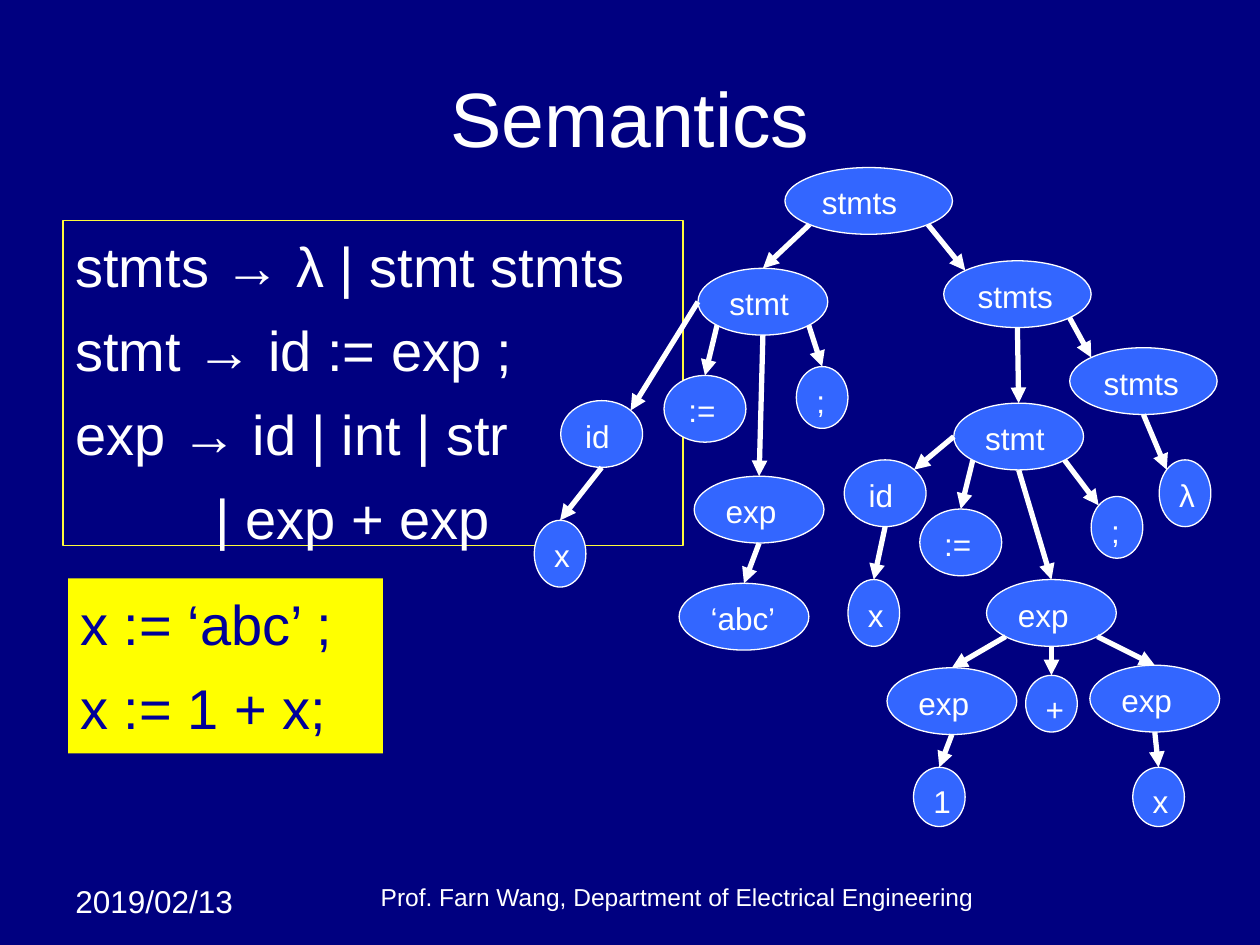
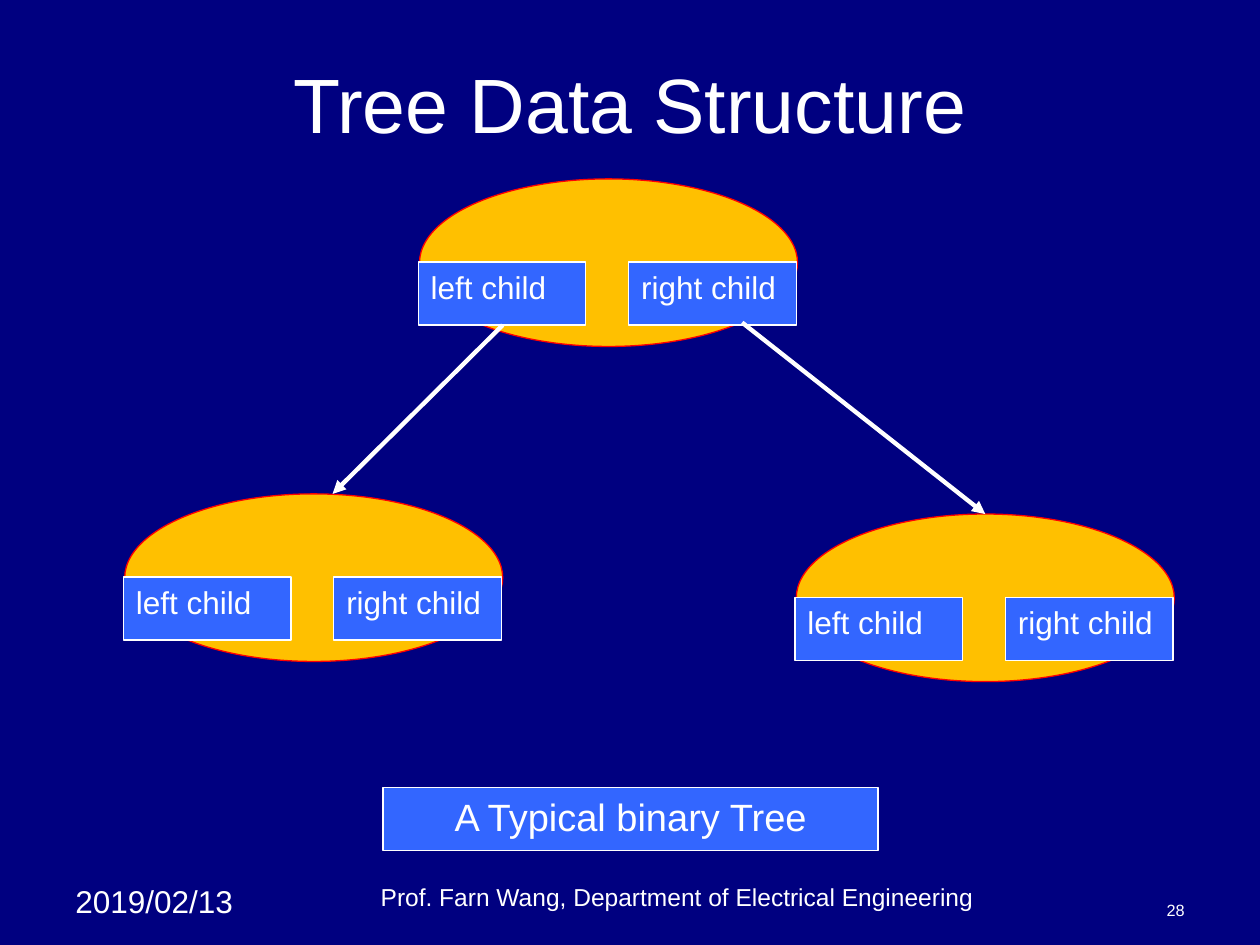
from math import sqrt

from lxml import etree
from pptx import Presentation
from pptx.dml.color import RGBColor
from pptx.enum.shapes import MSO_CONNECTOR, MSO_SHAPE
from pptx.enum.text import MSO_ANCHOR, PP_ALIGN
from pptx.oxml.ns import qn
from pptx.util import Inches, Pt

NAVY = RGBColor(0x00, 0x00, 0x80)
WHITE = RGBColor(0xFF, 0xFF, 0xFF)
BLUE = RGBColor(0x33, 0x66, 0xFF)
YELLOW = RGBColor(0xFF, 0xFF, 0x00)
PALE_YELLOW = RGBColor(0xFF, 0xFB, 0x3B)
INK = RGBColor(0x00, 0x00, 0x99)
AMBER = RGBColor(0xFF, 0xC0, 0x00)
RED = RGBColor(0xFF, 0x00, 0x00)

LEFT, CENTER, RIGHT = PP_ALIGN.LEFT, PP_ALIGN.CENTER, PP_ALIGN.RIGHT
TOP, MIDDLE, BOTTOM = MSO_ANCHOR.TOP, MSO_ANCHOR.MIDDLE, MSO_ANCHOR.BOTTOM
RECT, OVAL = MSO_SHAPE.RECTANGLE, MSO_SHAPE.OVAL
STRAIGHT = MSO_CONNECTOR.STRAIGHT
FONT = "Arial"

DATE = "2019/02/13"
FOOTER = "Prof. Farn Wang, Department of Electrical Engineering"

GRAMMAR = [
    ("stmts → λ | stmt stmts", 0),
    ("stmt → id := exp ;", 0),
    ("exp → id | int | str", 0),
    ("| exp + exp", 1.11),
]
PROGRAM = [("x := ‘abc’ ;", 0), ("x := 1 + x;", 0)]

PARSE_NODES = {
    "root": ("stmts", 6.23, 1.33),
    "rest": ("stmts", 7.49, 2.07),
    "end": ("stmts", 8.49, 2.76),
    "empty": ("λ", 9.2, 3.65),
    "first": ("stmt", 5.54, 2.13),
    "first id": ("id", 4.45, 3.18),
    "first assign": (":=", 5.27, 2.98),
    "first exp": ("exp", 5.51, 3.78),
    "first stop": (";", 6.32, 2.91),
    "first x": ("x", 4.24, 4.13),
    "string": ("‘abc’", 5.39, 4.63),
    "second": ("stmt", 7.57, 3.2),
    "second id": ("id", 6.7, 3.65),
    "second assign": (":=", 7.3, 4.04),
    "sum": ("exp", 7.83, 4.6),
    "second stop": (";", 8.66, 3.94),
    "second x": ("x", 6.73, 4.6),
    "left term": ("exp", 7.04, 5.3),
    "right term": ("exp", 8.65, 5.28),
    "plus": ("+", 8.14, 5.36),
    "one": ("1", 7.25, 6.09),
    "right x": ("x", 8.99, 6.09),
}
LABEL_WIDTHS = {"stmts": 1.17, "stmt": 1.03, "exp": 1.03, "‘abc’": 1.03,
                "id": 0.65, ":=": 0.65}
LEAF_WIDTH, NODE_HEIGHT = 0.41, 0.53
SPECIAL_WIDTHS = {"root": 1.33}
SPECIAL_HEIGHTS = {"first stop": 0.49, "second stop": 0.49, "plus": 0.45,
                   "one": 0.47, "right x": 0.47}

DIAGONAL = sqrt(0.5)
SITES = {
    "top": (0, -1), "bottom": (0, 1), "left": (-1, 0),
    "top left": (-DIAGONAL, -DIAGONAL), "top right": (DIAGONAL, -DIAGONAL),
    "bottom left": (-DIAGONAL, DIAGONAL), "bottom right": (DIAGONAL, DIAGONAL),
}
PARSE_EDGES = [
    ("root", "bottom left", "first", "top"),
    ("root", "bottom right", "rest", "top left"),
    ("first", "left", "first id", "top right"),
    ("first", "bottom left", "first assign", "top"),
    ("first", "bottom", "first exp", "top"),
    ("first", "bottom right", "first stop", "top"),
    ("first id", "bottom", "first x", "top"),
    ("first exp", "bottom", "string", "top"),
    ("rest", "bottom", "second", "top"),
    ("rest", "bottom right", "end", "top left"),
    ("end", "bottom", "empty", "top left"),
    ("second", "left", "second id", "top right"),
    ("second", "bottom left", "second assign", "top"),
    ("second", "bottom", "sum", "top"),
    ("second", "bottom right", "second stop", "top left"),
    ("second id", "bottom", "second x", "top"),
    ("sum", "bottom left", "left term", "top"),
    ("sum", "bottom", "plus", "top"),
    ("sum", "bottom right", "right term", "top"),
    ("left term", "bottom", "one", "top"),
    ("right term", "bottom", "right x", "top"),
]

BINARY_NODES = [(3.33, 1.42), (0.99, 3.92), (6.32, 4.08)]
POINTERS = [("left child", -0.01), ("right child", 1.66)]
POINTER_DROP = 0.66
BINARY_LINKS = [((3.99, 2.58), (2.64, 3.92)), ((5.89, 2.56), (7.82, 4.08))]


def write(shape, lines, size, color=WHITE, align=LEFT, anchor=TOP, space=0, top=0.05):
    frame = shape.text_frame
    frame.word_wrap = True
    frame.vertical_anchor = anchor
    frame.margin_left = frame.margin_right = Inches(0.1)
    frame.margin_top, frame.margin_bottom = Inches(top), Inches(0.05)
    for index, (line, indent) in enumerate(lines):
        paragraph = frame.add_paragraph() if index else frame.paragraphs[0]
        paragraph.alignment = align
        if index:
            paragraph.space_before = Pt(space)
        if indent:
            properties = paragraph._p.get_or_add_pPr()
            properties.set("marL", str(Inches(indent)))
            properties.set("indent", "0")
        run = paragraph.add_run()
        run.text = line
        run.font.name = FONT
        run.font.size = Pt(size)
        run.font.color.rgb = color


def add_label(slide, box, text, size, align=LEFT, anchor=TOP):
    label = slide.shapes.add_textbox(*map(Inches, box))
    write(label, [(text, 0)], size, align=align, anchor=anchor)


def add_figure(slide, kind, box, fill=BLUE, line=WHITE):
    figure = slide.shapes.add_shape(kind, *map(Inches, box))
    figure.shadow.inherit = False
    if fill is None:
        figure.fill.background()
    else:
        figure.fill.solid()
        figure.fill.fore_color.rgb = fill
    if line is None:
        figure.line.fill.background()
    else:
        figure.line.color.rgb = line
        figure.line.width = Pt(0.75)
    return figure


def add_arrow(slide, start, end, width):
    arrow = slide.shapes.add_connector(STRAIGHT, *map(Inches, (*start, *end)))
    arrow.line.color.rgb = WHITE
    arrow.line.width = Pt(width)
    etree.SubElement(arrow.line._get_or_add_ln(), qn("a:tailEnd"), type="triangle")
    etree.SubElement(arrow._element.spPr, qn("a:effectLst"))


def add_slide(deck, title, title_height):
    slide = deck.slides.add_slide(deck.slide_layouts[6])
    slide.background.fill.solid()
    slide.background.fill.fore_color.rgb = NAVY
    add_label(slide, (0.5, 6.95, 1.58, 0.4), DATE, 18)
    add_label(slide, (2, 6.95, 6.75, 0.33), FOOTER, 14, CENTER, BOTTOM)
    add_label(slide, (0.5, 0.3, 9, title_height), title, 44, CENTER, MIDDLE)
    return slide


def node_box(key):
    label, x, y = PARSE_NODES[key]
    width = SPECIAL_WIDTHS.get(key, LABEL_WIDTHS.get(label, LEAF_WIDTH))
    return x, y, width, SPECIAL_HEIGHTS.get(key, NODE_HEIGHT)


def site_point(key, site):
    x, y, width, height = node_box(key)
    across, down = SITES[site]
    return x + width / 2 * (1 + across), y + height / 2 * (1 + down)


def build_semantics(deck):
    slide = add_slide(deck, "Semantics", 1.25)
    grammar = add_figure(slide, RECT, (0.5, 1.75, 4.92, 2.58), None, PALE_YELLOW)
    write(grammar, GRAMMAR, 32, space=9.5, top=0.09)
    program = add_figure(slide, RECT, (0.54, 4.59, 2.5, 1.39), YELLOW, None)
    write(program, PROGRAM, 32, INK, space=9.5, top=0.09)
    for key, (label, _, _) in PARSE_NODES.items():
        write(add_figure(slide, OVAL, node_box(key)), [(label, 0)], 18)
    for parent, leave, child, arrive in PARSE_EDGES:
        add_arrow(slide, site_point(parent, leave), site_point(child, arrive), 3)


def build_binary_tree(deck):
    slide = add_slide(deck, "Tree Data Structure", 1.03)
    for x, y in BINARY_NODES:
        add_figure(slide, OVAL, (x, y, 3, 1.33), AMBER, RED)
        for label, offset in POINTERS:
            pointer = add_figure(slide, RECT, (x + offset, y + POINTER_DROP, 1.33, 0.5))
            write(pointer, [(label, 0)], 18)
    for start, end in BINARY_LINKS:
        add_arrow(slide, start, end, 2.5)
    caption = add_figure(slide, RECT, (3.04, 6.25, 3.93, 0.5))
    write(caption, [("A Typical binary Tree", 0)], 21.7, align=CENTER)
    add_label(slide, (7.17, 7.08, 2.33, 0.27), "28", 9.3, RIGHT, BOTTOM)


def main():
    deck = Presentation()
    deck.slide_width, deck.slide_height = Inches(10), Inches(7.5)
    build_semantics(deck)
    build_binary_tree(deck)
    deck.save("out.pptx")


if __name__ == "__main__":
    main()
